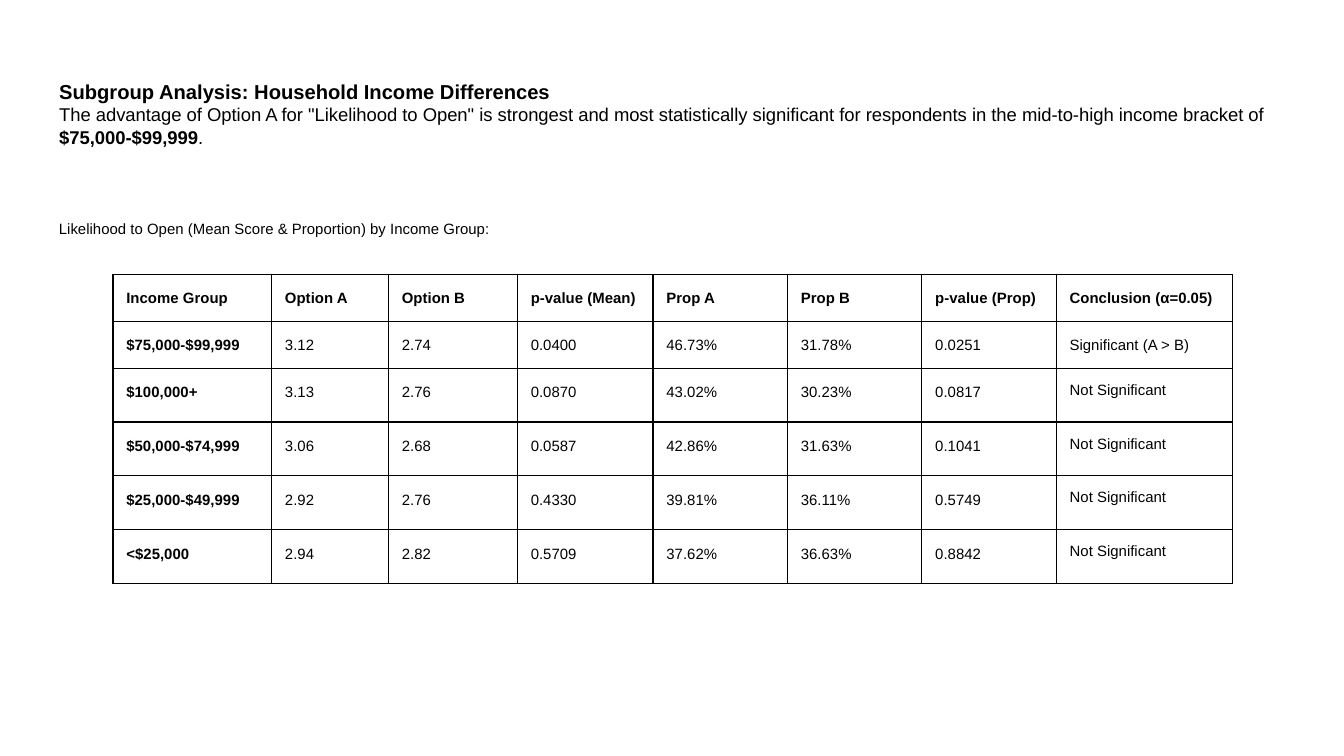
from dataclasses import dataclass

from lxml import etree
from pptx import Presentation
from pptx.dml.color import RGBColor
from pptx.enum import text as t
from pptx.oxml import ns
from pptx.util import Pt


@dataclass(frozen=True)
class Theme:
    font: str = "Arial"
    ink: str = "000000"
    heading: float = 10.8
    lead: float = 9.9
    body: float = 8
    border: float = 0.75
    inset: float = 7.2


THEME = Theme()

COL_WIDTHS = [85, 62.6, 69.1, 72.7, 72, 72, 72, 94.3]
ROW_HEIGHTS = [25.2] * 2 + [28.8] * 4
ROWS = [
    ["Income Group", "Option A", "Option B", "p-value (Mean)",
     "Prop A", "Prop B", "p-value (Prop)", "Conclusion (α=0.05)"],
    ["$75,000-$99,999", "3.12", "2.74", "0.0400", "46.73%", "31.78%", "0.0251", "Significant (A > B)"],
    ["$100,000+", "3.13", "2.76", "0.0870", "43.02%", "30.23%", "0.0817", "Not Significant"],
    ["$50,000-$74,999", "3.06", "2.68", "0.0587", "42.86%", "31.63%", "0.1041", "Not Significant"],
    ["$25,000-$49,999", "2.92", "2.76", "0.4330", "39.81%", "36.11%", "0.5749", "Not Significant"],
    ["<$25,000", "2.94", "2.82", "0.5709", "37.62%", "36.63%", "0.8842", "Not Significant"],
]


def write(p, text, size=THEME.body, bold=False, spacing=None, after=None):
    """Add one formatted run to a left-aligned paragraph."""
    p.alignment = t.PP_ALIGN.LEFT
    if spacing is not None:
        p.line_spacing = spacing
    if after is not None:
        p.space_after = Pt(after)
    r = p.add_run()
    r.text = text
    r.font.name = THEME.font
    r.font.size = Pt(size)
    r.font.bold = bold
    r.font.color.rgb = RGBColor.from_string(THEME.ink)


def set_insets(item):
    """Give a text frame or a table cell the same margin on all sides."""
    item.margin_left = item.margin_right = Pt(THEME.inset)
    item.margin_top = item.margin_bottom = Pt(THEME.inset)
    item.vertical_anchor = t.MSO_ANCHOR.TOP


def set_borders(cell):
    """Draw a solid line on each side of a cell."""
    tc_pr = cell._tc.get_or_add_tcPr()
    for i, side in enumerate(("lnL", "lnR", "lnT", "lnB")):
        ln = etree.Element(ns.qn(f"a:{side}"), w=str(Pt(THEME.border)))
        fill = etree.SubElement(ln, ns.qn("a:solidFill"))
        etree.SubElement(fill, ns.qn("a:srgbClr"), val=THEME.ink)
        tc_pr.insert(i, ln)


def add_title(s, x, y, w, h):
    sp = s.shapes.title
    sp.left, sp.top, sp.width, sp.height = Pt(x), Pt(y), Pt(w), Pt(h)
    tf = sp.text_frame
    tf.word_wrap = True
    tf.auto_size = t.MSO_AUTO_SIZE.NONE
    set_insets(tf)
    write(tf.paragraphs[0], "Subgroup Analysis: Household Income Differences",
          size=THEME.heading, bold=True)
    p = tf.add_paragraph()
    write(p, 'The advantage of Option A for "Likelihood to Open" is strongest and most '
             "statistically significant for respondents in the mid-to-high income bracket of ",
          size=THEME.lead)
    write(p, "$75,000-$99,999", size=THEME.lead, bold=True)
    write(p, ".", size=THEME.lead)


def add_caption(s, x, y, w, h):
    tf = s.shapes.add_textbox(Pt(x), Pt(y), Pt(w), Pt(h)).text_frame
    tf.word_wrap = True
    tf.auto_size = t.MSO_AUTO_SIZE.SHAPE_TO_FIT_TEXT
    set_insets(tf)
    write(tf.paragraphs[0], "Likelihood to Open (Mean Score & Proportion) by Income Group:")


def add_income_table(s, x, y, w, h):
    table = s.shapes.add_table(len(ROWS), len(COL_WIDTHS), Pt(x), Pt(y), Pt(w), Pt(h)).table
    table.first_row = table.horz_banding = False
    for column, width in zip(table.columns, COL_WIDTHS):
        column.width = Pt(width)
    for row, height in zip(table.rows, ROW_HEIGHTS):
        row.height = Pt(height)
    for i, values in enumerate(ROWS):
        for j, value in enumerate(values):
            cell = table.cell(i, j)
            cell.fill.background()
            set_borders(cell)
            set_insets(cell)
            # The "Not Significant" verdicts keep single line spacing
            spaced = {} if value == "Not Significant" else {"spacing": 1.15, "after": 24}
            write(cell.text_frame.paragraphs[0], value, bold=i == 0 or j == 0, **spaced)


def main():
    prs = Presentation()
    prs.slide_width, prs.slide_height = Pt(720), Pt(405)
    s = prs.slides.add_slide(prs.slide_layouts[5])  # title only
    add_title(s, 24.5, 35.3, 671, 45.4)
    add_income_table(s, 60.5, 146.9, sum(COL_WIDTHS), sum(ROW_HEIGHTS))
    add_caption(s, 24.5, 113, 270.7, 24.5)
    prs.save("out.pptx")


if __name__ == "__main__":
    main()
